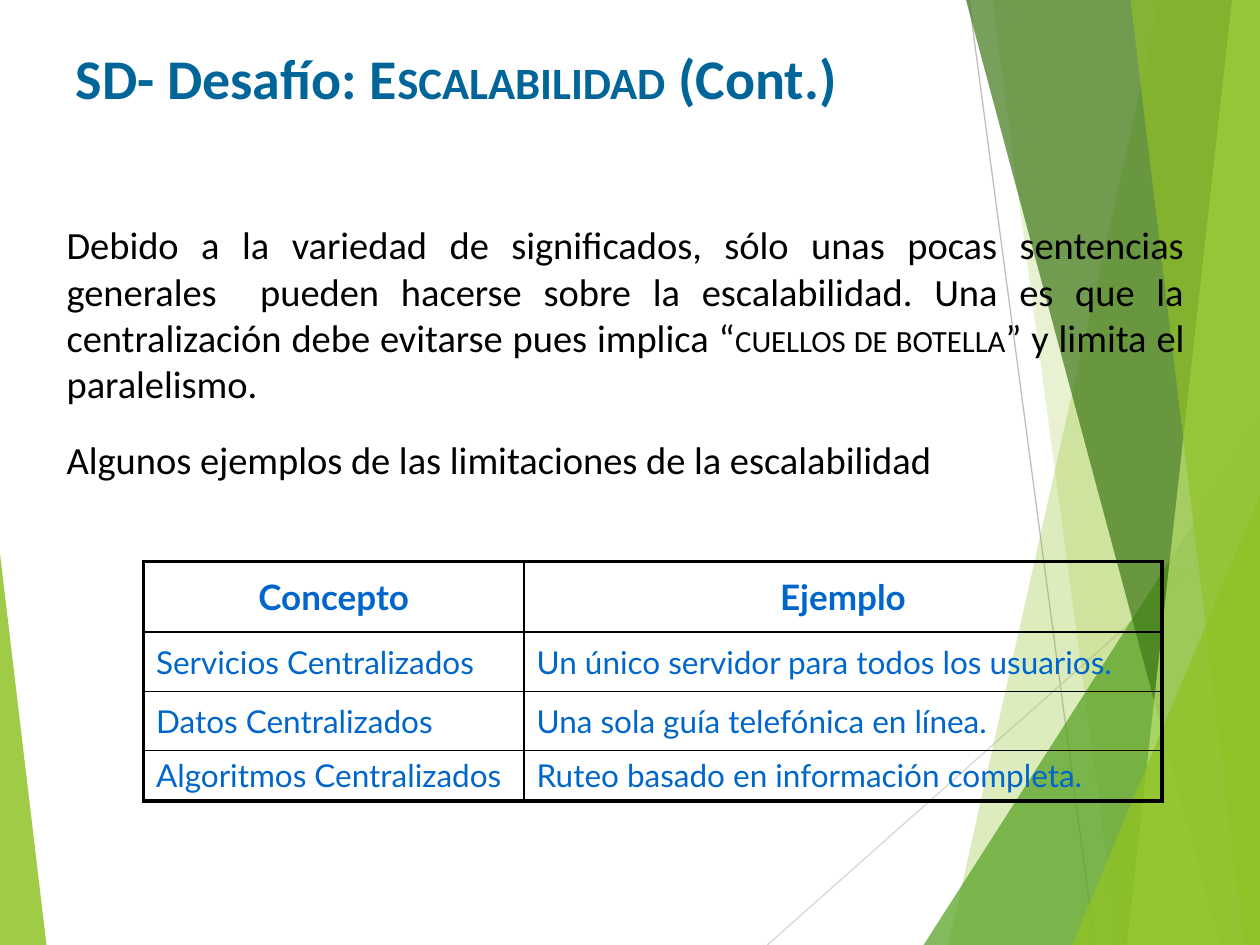
import lxml.etree
import pptx
import pptx.dml.color
import pptx.enum.shapes
import pptx.enum.text
import pptx.oxml.ns
import pptx.util

Pt = pptx.util.Pt
RGBColor = pptx.dml.color.RGBColor
ALIGN = pptx.enum.text.PP_ALIGN
ANCHOR = pptx.enum.text.MSO_ANCHOR
qn = pptx.oxml.ns.qn

WIDTH, HEIGHT = 720, 540
GREEN = RGBColor(0x90, 0xC2, 0x26)
MID_GREEN = RGBColor(0x54, 0xA0, 0x21)
DARK_GREEN = RGBColor(0x3F, 0x78, 0x18)
LIGHT_GREEN = RGBColor(0xBF, 0xE4, 0x71)
GRAY = RGBColor(0xBF, 0xBF, 0xBF)
LIGHT_GRAY = RGBColor(0xD8, 0xD8, 0xD8)
TITLE_BLUE = RGBColor(0x00, 0x66, 0x99)
TABLE_BLUE = RGBColor(0x00, 0x66, 0xCC)
BLACK = RGBColor(0, 0, 0)
THIN, THICK = 1, 2.25


class SlideBuilder:
    def __init__(self, slide):
        self.slide = slide
        self.shapes = slide.shapes

    def line(self, start, end, color):
        connector = self.shapes.add_connector(
            pptx.enum.shapes.MSO_CONNECTOR.STRAIGHT, *map(Pt, start + end))
        connector.line.color.rgb = color
        connector.line.width = Pt(0.75)
        lxml.etree.SubElement(connector._element.spPr, qn("a:effectLst"))

    def paint(self, shape, color, opacity):
        shape.shadow.inherit = False
        shape.line.fill.background()
        shape.fill.solid()
        shape.fill.fore_color.rgb = color
        color_element = shape._element.spPr.find(".//" + qn("a:srgbClr"))
        alpha = lxml.etree.SubElement(color_element, qn("a:alpha"))
        alpha.set("val", str(opacity * 1000))

    def panel(self, top_x, bottom_x, color, opacity):
        """Full-height panel with a slanted left side, ending at the right edge."""
        builder = self.shapes.build_freeform(top_x, 0, scale=Pt(1))
        builder.add_line_segments(
            [(WIDTH, 0), (WIDTH, HEIGHT), (bottom_x, HEIGHT)], close=True)
        self.paint(builder.convert_to_shape(), color, opacity)

    def triangle(self, left, top, width, apex, color, opacity):
        """Triangle standing on the bottom edge of the slide."""
        shape = self.shapes.add_shape(
            pptx.enum.shapes.MSO_SHAPE.ISOSCELES_TRIANGLE,
            Pt(left), Pt(top), Pt(width), Pt(HEIGHT - top))
        shape.adjustments[0] = apex
        self.paint(shape, color, opacity)

    def add_runs(self, paragraph, parts, size, color, bold=False, font="Calibri"):
        """Add (text, small caps) parts as runs."""
        for text, small_caps in parts:
            run = paragraph.add_run()
            run.text = text
            run.font.name = font
            run.font.size = Pt(size)
            run.font.bold = bold
            run.font.color.rgb = color
            if small_caps:
                run.font._element.set("cap", "small")

    def title(self, box, parts):
        title = self.shapes.title
        title.left, title.top, title.width, title.height = map(Pt, box)
        # Bring the title in front of the decoration
        self.shapes._spTree.append(title._element)
        frame = title.text_frame
        frame.word_wrap = True
        frame.auto_size = pptx.enum.text.MSO_AUTO_SIZE.NONE
        frame.vertical_anchor = ANCHOR.BOTTOM
        frame.paragraphs[0].alignment = ALIGN.LEFT
        self.add_runs(frame.paragraphs[0], parts, 32, TITLE_BLUE, bold=True)

    def body(self, box, paragraphs, gap):
        frame = self.shapes.add_textbox(*map(Pt, box)).text_frame
        frame.word_wrap = True
        for index, parts in enumerate(paragraphs):
            paragraph = frame.add_paragraph() if index else frame.paragraphs[0]
            paragraph.alignment = ALIGN.JUSTIFY
            if index:
                paragraph.space_before = Pt(gap)
            self.add_runs(paragraph, parts, 22, BLACK)

    def borders(self, cell, widths):
        """Draw the left, right, top and bottom borders, in that order."""
        properties = cell._tc.get_or_add_tcPr()
        for index, (side, width) in enumerate(zip("LRTB", widths)):
            line = lxml.etree.Element(qn("a:ln" + side), w=str(Pt(width)))
            fill = lxml.etree.SubElement(line, qn("a:solidFill"))
            lxml.etree.SubElement(fill, qn("a:srgbClr"), val=str(BLACK))
            properties.insert(index, line)

    def table(self, left, top, column_widths, row_heights, rows):
        table = self.shapes.add_table(
            len(rows), len(column_widths), Pt(left), Pt(top),
            Pt(sum(column_widths)), Pt(sum(row_heights))).table
        table.first_row = table.horz_banding = False
        for column, width in zip(table.columns, column_widths):
            column.width = Pt(width)
        last_row, last_column = len(rows) - 1, len(column_widths) - 1
        for r, texts in enumerate(rows):
            table.rows[r].height = Pt(row_heights[r])
            header = r == 0
            for c, text in enumerate(texts):
                cell = table.cell(r, c)
                cell.fill.background()
                cell.vertical_anchor = ANCHOR.MIDDLE
                paragraph = cell.text_frame.paragraphs[0]
                paragraph.alignment = ALIGN.CENTER if header else ALIGN.LEFT
                self.add_runs(paragraph, [(text, False)], 20 if header else 18,
                              TABLE_BLUE, bold=header, font="Lato")
                outer = (c == 0, c == last_column, header, r == last_row)
                self.borders(cell, [THICK if edge else THIN for edge in outer])


def main():
    presentation = pptx.Presentation()
    presentation.slide_width, presentation.slide_height = Pt(WIDTH), Pt(HEIGHT)
    slide = presentation.slides.add_slide(presentation.slide_layouts[5])
    builder = SlideBuilder(slide)

    # Background decoration
    builder.line((553.7, 0), (625.7, HEIGHT), GRAY)
    builder.line((WIDTH, 290.2), (438.5, HEIGHT), LIGHT_GRAY)
    builder.panel(663.1, 542.2, GREEN, 30)
    builder.panel(567.4, 638.6, GREEN, 20)
    builder.triangle(527.8, 239.8, 192.2, 1, MID_GREEN, 72)
    builder.panel(551.5, 697, DARK_GREEN, 70)
    builder.panel(704.2, 643.7, LIGHT_GREEN, 70)
    builder.panel(645.8, 711.4, GREEN, 65)
    builder.triangle(612.7, 283, 107.3, 1, GREEN, 80)
    builder.triangle(0, 316.1, 26.6, 0, GREEN, 85)

    # Title and body
    builder.title((36, 21.6, 648, 45.4), [
        ("SD- Desafío: ", False), ("Escalabilidad", True), (" (Cont.)", False)])
    builder.body((31, 123, 653, 157), [
        [("Debido a la variedad de significados, sólo unas pocas sentencias "
          "generales  pueden hacerse sobre la escalabilidad. Una es que la "
          "centralización debe evitarse pues implica “", False),
         ("cuellos de botella", True),
         ("” y limita el paralelismo.", False)],
        [("Algunos ejemplos de las limitaciones de la escalabilidad", False)],
    ], gap=17)

    # Examples table
    builder.table(82, 321, (217.5, 364.5), (40.3, 33.8, 33.8, 28.8), [
        ("Concepto", "Ejemplo"),
        ("Servicios Centralizados", "Un único servidor para todos los usuarios."),
        ("Datos Centralizados", "Una sola guía telefónica en línea."),
        ("Algoritmos Centralizados", "Ruteo basado en información completa."),
    ])

    presentation.save("out.pptx")


if __name__ == "__main__":
    main()
